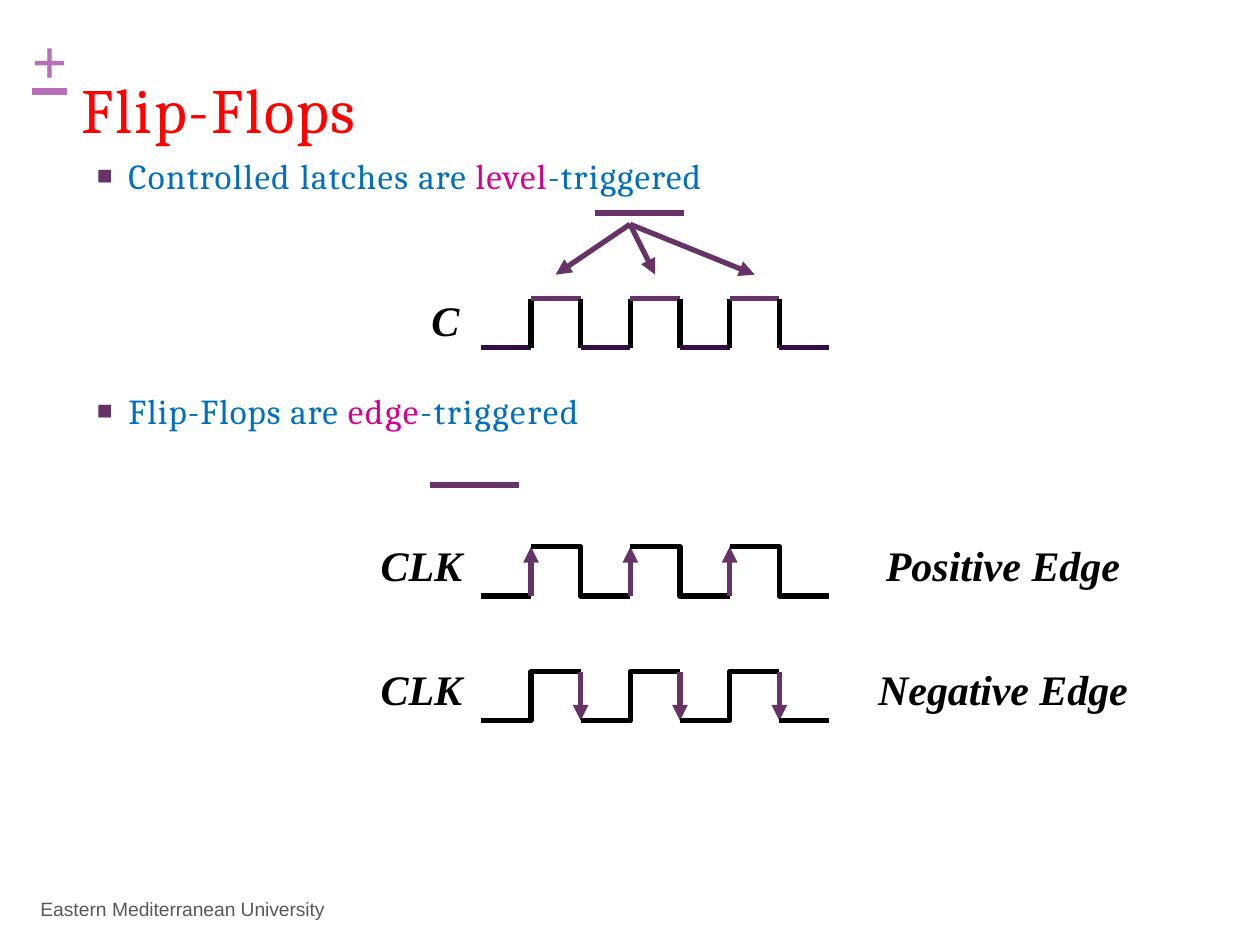
import pptx
import pptx.dml.color
import pptx.enum.shapes
import pptx.enum.text
import pptx.oxml
import pptx.oxml.ns
import pptx.util
from pptx.util import Inches

COLORS = {
    "accent": "663366", "plus": "B86FB8", "title": "FF0000", "low": "330E42",
    "black": "000000", "body": "006FC0", "term": "D50092", "footer": "585858",
}
SERIF = {"name": "Cambria", "size": pptx.util.Pt(20)}
TITLE = {"name": "Cambria", "size": pptx.util.Pt(36)}
PLUS = {"name": "Times New Roman", "size": pptx.util.Pt(36), "bold": True, "italic": True,
        "underline": pptx.enum.text.MSO_UNDERLINE.HEAVY_LINE}
LABEL = {"name": "Times New Roman", "size": pptx.util.Pt(24), "bold": True, "italic": True}
FOOTER = {"name": "Arial", "size": pptx.util.Pt(11)}
ALIGN = pptx.enum.text.PP_ALIGN
HALF_PERIODS = 7


def rgb(color):
    return pptx.dml.color.RGBColor.from_string(COLORS[color])


def set_attributes(target, values):
    for name, value in values.items():
        setattr(target, name, value)


def add_runs(paragraph, runs, font):
    """Add runs given as (text, color, letter spacing in points)."""
    for text, color, spacing in runs:
        run = paragraph.add_run()
        run.text = text
        set_attributes(run.font, font)
        run.font.color.rgb = rgb(color)
        if spacing:
            run.font._element.set("spc", str(round(spacing * 100)))


def format_frame(frame, left_inset=0.02, top_inset=0.01):
    set_attributes(frame, {
        "margin_left": Inches(left_inset), "margin_top": Inches(top_inset),
        "margin_right": 0, "margin_bottom": 0, "word_wrap": True,
        "vertical_anchor": pptx.enum.text.MSO_ANCHOR.TOP,
        "auto_size": pptx.enum.text.MSO_AUTO_SIZE.SHAPE_TO_FIT_TEXT,
    })


def add_text(slide, box, runs, font, left_inset=0.02, top_inset=0.01):
    shape = slide.shapes.add_textbox(*map(Inches, box))
    format_frame(shape.text_frame, left_inset, top_inset)
    add_runs(shape.text_frame.paragraphs[0], runs, font)


def format_line(line, color):
    line.width = pptx.util.Pt(3)
    line.color.rgb = rgb(color)


def add_line(shapes, start, end, color="accent", arrow=False):
    connector = shapes.add_connector(pptx.enum.shapes.MSO_CONNECTOR.STRAIGHT,
                                     *map(Inches, (*start, *end)))
    format_line(connector.line, color)
    properties = connector._element.spPr
    if arrow:
        outline = properties.find(pptx.oxml.ns.qn("a:ln"))
        outline.append(outline.makeelement(pptx.oxml.ns.qn("a:tailEnd"), {"type": "triangle"}))
    properties.append(properties.makeelement(pptx.oxml.ns.qn("a:effectLst"), {}))


def add_polyline(shapes, points, color="black"):
    first, *others = [tuple(map(Inches, point)) for point in points]
    builder = shapes.build_freeform(*first)
    builder.add_line_segments(others, close=False)
    shape = builder.convert_to_shape()
    shape.shadow.inherit = False
    shape.fill.background()
    format_line(shape.line, color)


def set_bullet(paragraph):
    properties = paragraph._p.get_or_add_pPr()
    properties.set("marL", str(Inches(0.26)))
    properties.set("indent", str(Inches(-0.25)))
    namespace = pptx.oxml.ns.nsdecls("a")
    for xml in (
        f'<a:buClr {namespace}><a:srgbClr val="{COLORS["accent"]}"/></a:buClr>',
        f'<a:buSzPct {namespace} val="75000"/>',
        f'<a:buFont {namespace} typeface="Arial"/>',
        f'<a:buChar {namespace} char="■"/>',
        f'<a:tabLst {namespace}><a:tab pos="{Inches(0.26)}" algn="l"/></a:tabLst>',
    ):
        properties.append(pptx.oxml.parse_xml(xml))


def add_title(slide, box):
    title = slide.shapes.title
    set_attributes(title, dict(zip(("left", "top", "width", "height"), map(Inches, box))))
    format_frame(title.text_frame)
    paragraph = title.text_frame.paragraphs[0]
    paragraph.alignment = ALIGN.LEFT
    add_runs(paragraph, [("Flip-Flops", "title", 1.1)], TITLE)


def add_body(slide, box):
    """Two bullets with the clock label of the first waveform between them."""
    frame = slide.shapes.add_textbox(*map(Inches, box)).text_frame
    format_frame(frame, left_inset=0.01)
    latches = frame.paragraphs[0]
    set_bullet(latches)
    add_runs(latches, [("Controlled ", "body", 0.8), ("latches ", "body", 0.7),
                       ("are ", "body", 0.6), ("level", "term", 0.8),
                       ("-triggered", "body", 0.8)], SERIF)

    clock = frame.add_paragraph()
    set_attributes(clock, {"alignment": ALIGN.CENTER, "space_before": pptx.util.Pt(55.5)})
    clock._p.get_or_add_pPr().set("marL", str(Inches(0.45)))
    add_runs(clock, [("C", "black", 0)], LABEL)

    flip_flops = frame.add_paragraph()
    flip_flops.space_before = pptx.util.Pt(26)
    set_bullet(flip_flops)
    add_runs(flip_flops, [("Flip-Flops are ", "body", 0.6), ("edge", "term", 1.1),
                          ("-triggered", "body", 1.1)], SERIF)


def wave_levels(box):
    """Start and end point of each half period of a wave that starts low."""
    left, top, width, height = box
    step = width / HALF_PERIODS
    for index in range(HALF_PERIODS):
        x, y = left + index * step, top if index % 2 else top + height
        yield (x, y), (x + step, y)


def add_level_waveform(slide, box):
    """Wave whose high and low levels have their own colors."""
    shapes = slide.shapes.add_group_shape().shapes
    previous = None
    for index, (start, end) in enumerate(wave_levels(box)):
        if previous:
            add_line(shapes, previous, start, "black")
        add_line(shapes, start, end, "accent" if index % 2 else "low")
        previous = end


def add_edge_waveform(slide, box, rising):
    """Wave whose rising or falling edges are arrows."""
    shapes = slide.shapes.add_group_shape().shapes
    stretch = []
    for index, (start, end) in enumerate(wave_levels(box)):
        if index and (index % 2 == 1) == rising:
            add_polyline(shapes, stretch)
            add_line(shapes, stretch[-1], start, arrow=True)
            stretch = []
        stretch += [start, end]
    add_polyline(shapes, stretch)


def add_level_arrows(slide, box):
    """Three arrows from one point down to the high levels."""
    left, top, width, height = box
    origin = (left + 0.59, top)
    for index in range(3):
        add_line(slide.shapes, origin, (left + index * width / 2, top + height), arrow=True)


def add_edge_row(slide, box, name, name_box, rising):
    """Clock label, waveform and edge name on one row."""
    label_top = box[1] - 0.07
    add_edge_waveform(slide, box, rising)
    add_text(slide, (3, label_top, 0.68, 0.43), [("CLK", "black", 0)], LABEL)
    name_left, name_width = name_box
    add_text(slide, (name_left, label_top, name_width, 0.43), name, LABEL)


def main():
    presentation = pptx.Presentation()
    presentation.slide_width, presentation.slide_height = Inches(10), Inches(7.5)
    slide = presentation.slides.add_slide(presentation.slide_layouts[5])

    # Heading
    add_text(slide, (0.23, 0.16, 0.31, 0.63), [("+", "plus", 0)], PLUS)
    add_title(slide, (0.63, 0.55, 2.34, 0.63))

    # Level-triggered latches
    add_level_waveform(slide, (3.82, 2.37, 2.76, 0.39))
    add_body(slide, (0.75, 1.22, 5.11, 2.2))
    add_level_arrows(slide, (4.41, 1.78, 1.58, 0.4))

    # Rules under the key terms
    for left, top in ((4.72, 1.69), (3.41, 3.85)):
        add_line(slide.shapes, (left, top), (left + 0.71, top))

    # Edge-triggered flip-flops
    add_edge_row(slide, (3.82, 4.34, 2.76, 0.39),
                 [("Positive ", "black", 0), ("Edge", "black", -0.05)], (7.01, 1.89), True)
    add_edge_row(slide, (3.82, 5.33, 2.76, 0.39),
                 [("Negative Edge", "black", -0.05)], (6.95, 2.02), False)

    # Footer
    add_text(slide, (0.31, 7.12, 2.29, 0.2),
             [("Eastern ", "footer", 0), ("Mediterranean University", "footer", -0.05)],
             FOOTER, left_inset=0.01, top_inset=0)

    presentation.save("out.pptx")


if __name__ == "__main__":
    main()
